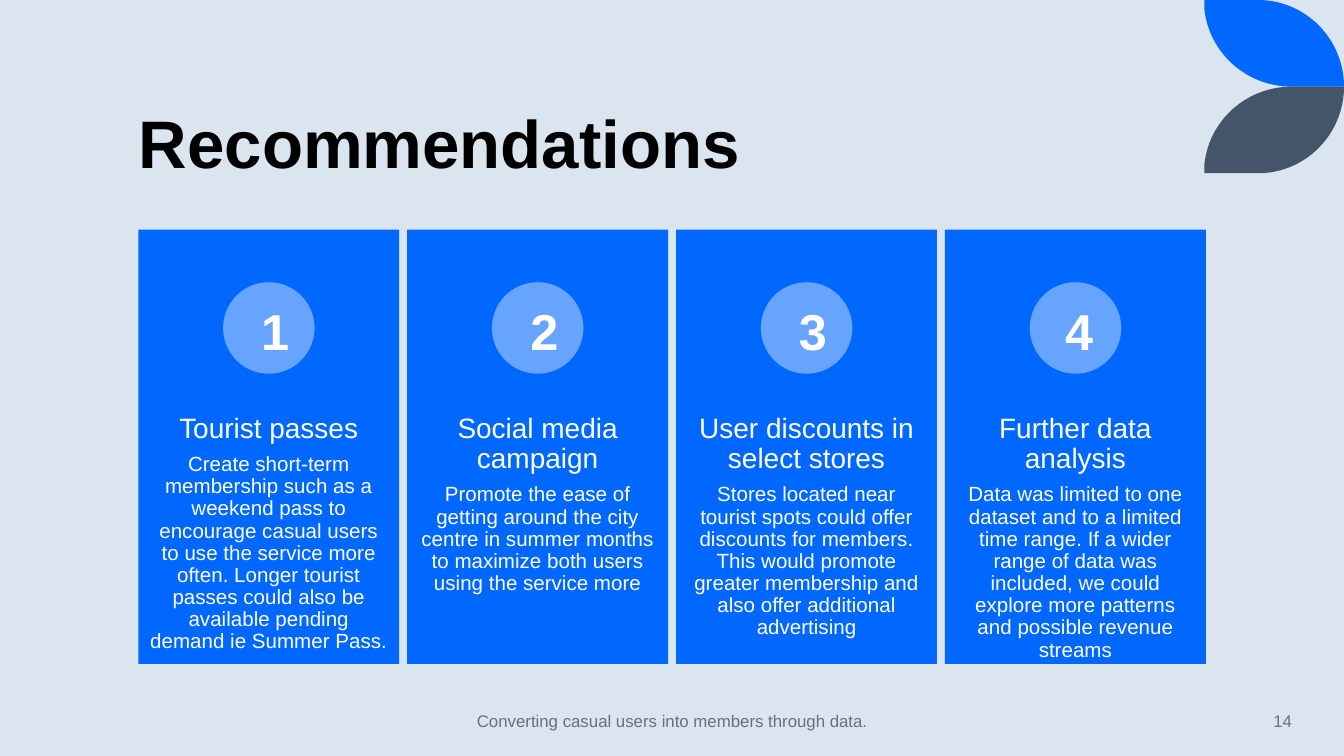
import pptx
import pptx.util
import pptx.dml.color
import pptx.enum.shapes
import pptx.enum.text
import pptx.oxml.ns

Pt = pptx.util.Pt
Shape = pptx.enum.shapes.MSO_SHAPE
Align = pptx.enum.text.PP_ALIGN
Anchor = pptx.enum.text.MSO_ANCHOR
qn = pptx.oxml.ns.qn

BLUE, SLATE, PALE_BLUE = "0068FF", "44546A", "66A4FF"
BACKGROUND, GREY, WHITE, BLACK = "DAE5EF", "637183", "FFFFFF", "000000"


def color(value):
    return pptx.dml.color.RGBColor.from_string(value)


def add_text(frame, text, size=11, ink=WHITE, bold=False, align=Align.CENTER,
             spacing=1.0, before=0, first=True):
    para = frame.paragraphs[0] if first else frame.add_paragraph()
    para.alignment = align
    para.line_spacing = spacing
    para.space_before = Pt(before)
    span = para.add_run()
    span.text = text
    span.font.name = "Arial"
    span.font.size = Pt(size)
    span.font.bold = bold
    span.font.color.rgb = color(ink)


class SlideBuilder:
    """Draws styled elements, measured in points, on the current slide."""

    def __init__(self, deck):
        self.slide = deck.slides.add_slide(deck.slide_layouts[6])
        self.slide.background.fill.solid()
        self.slide.background.fill.fore_color.rgb = color(BACKGROUND)

    def paint(self, shape, fill):
        shape.shadow.inherit = False
        shape.fill.solid()
        shape.fill.fore_color.rgb = color(fill)
        shape.line.fill.background()

    def shape(self, kind, left, top, width, height, fill):
        shape = self.slide.shapes.add_shape(
            kind, Pt(left), Pt(top), Pt(width), Pt(height))
        self.paint(shape, fill)

    def outline(self, points, curve_starts, fill):
        start, *others = [(Pt(x), Pt(y)) for x, y in points]
        builder = self.slide.shapes.build_freeform(*start)
        builder.add_line_segments(others, close=True)
        shape = builder.convert_to_shape()
        segments = list(shape.element.iter(qn("a:lnTo")))
        for index in curve_starts:
            curve, *followers = segments[index:index + 3]
            for follower in followers:
                curve.append(follower[0])
                follower.getparent().remove(follower)
            curve.tag = qn("a:cubicBezTo")
        self.paint(shape, fill)

    def text_box(self, left, top, width, height, anchor=Anchor.TOP, inset=(5.4, 2.7)):
        box = self.slide.shapes.add_textbox(Pt(left), Pt(top), Pt(width), Pt(height))
        frame = box.text_frame
        frame.word_wrap = True
        frame.vertical_anchor = anchor
        frame.margin_left = frame.margin_right = Pt(inset[0])
        frame.margin_top = frame.margin_bottom = Pt(inset[1])
        return frame

    def card(self, left, heading, body):
        self.shape(Shape.RECTANGLE, left, 123.1, 139.8, 232.6, BLUE)
        frame = self.text_box(left, 216.1, 139.8, 93, inset=(5.8, 5.8))
        add_text(frame, heading, size=15, spacing=0.9)
        add_text(frame, body, spacing=0.9, before=5, first=False)
        self.shape(Shape.OVAL, left + 45.4, 151.2, 49, 49, PALE_BLUE)


deck = pptx.Presentation()
deck.slide_width, deck.slide_height = Pt(720), Pt(405)
page = SlideBuilder(deck)

MIDDLE = 46.4
petal = [(645.2, 0), (674, 0),
         (699.3, 0), (720, 20.8), (720, MIDDLE),
         (692, MIDDLE),
         (667.6, MIDDLE), (647.7, 28.2), (645.2, 4.8)]
mirrored_petal = [(x, 2 * MIDDLE - y) for x, y in petal]
for points, fill in ((petal, BLUE), (mirrored_petal, SLATE)):
    page.outline(points, (1, 5), fill)

title = page.text_box(69, 22.3, 577.5, 78.5, anchor=Anchor.BOTTOM)
add_text(title, "Recommendations", size=36, ink=BLACK, bold=True,
         align=Align.LEFT, spacing=0.9)

recommendations = [
    ("Tourist passes",
     "Create short-term membership such as a weekend pass to encourage casual users "
     "to use the service more often. Longer tourist passes could also be available "
     "pending demand ie Summer Pass."),
    ("Social media campaign",
     "Promote the ease of getting around the city centre in summer months to maximize "
     "both users using the service more"),
    ("User discounts in select stores",
     "Stores located near tourist spots could offer discounts for members. This would "
     "promote greater membership and also offer additional advertising"),
    ("Further data analysis",
     "Data was limited to one dataset and to a limited time range. If a wider range of "
     "data was included, we could explore more patterns and possible revenue streams"),
]
for index, (heading, body) in enumerate(recommendations):
    page.card(74.1 + 144.05 * index, heading, body)

for number, left in enumerate((134.5, 278.7, 422.6, 565.2), start=1):
    add_text(page.text_box(left, 158, 21, 38), str(number), size=27, bold=True)

footer = page.text_box(238.5, 375.3, 243, 21.6, anchor=Anchor.MIDDLE)
add_text(footer, "Converting casual users into members through data.", size=9, ink=GREY)
page_number = page.text_box(600, 375.3, 97.5, 21.6, anchor=Anchor.MIDDLE)
add_text(page_number, "14", size=9, ink=GREY, align=Align.RIGHT)

deck.save("out.pptx")
